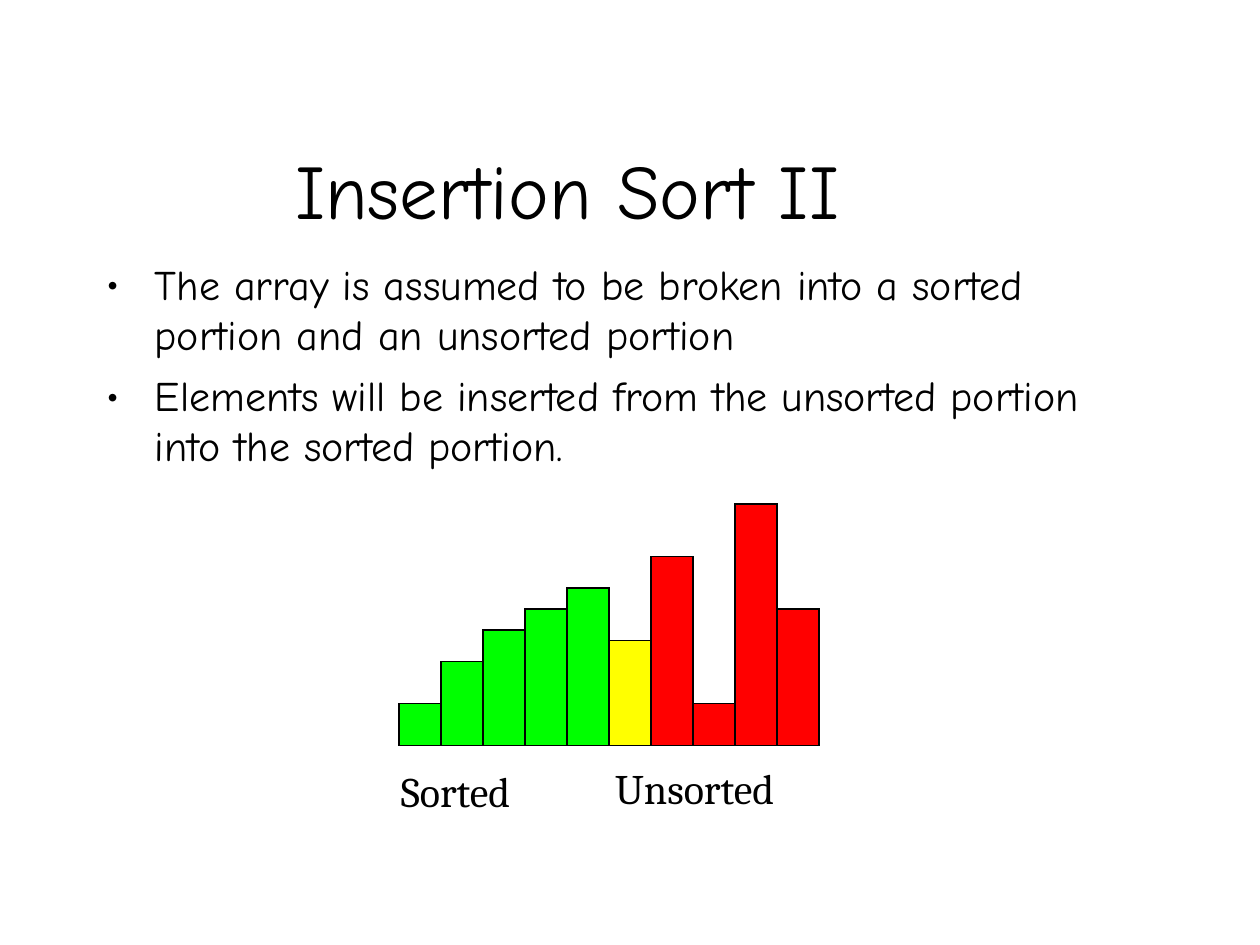
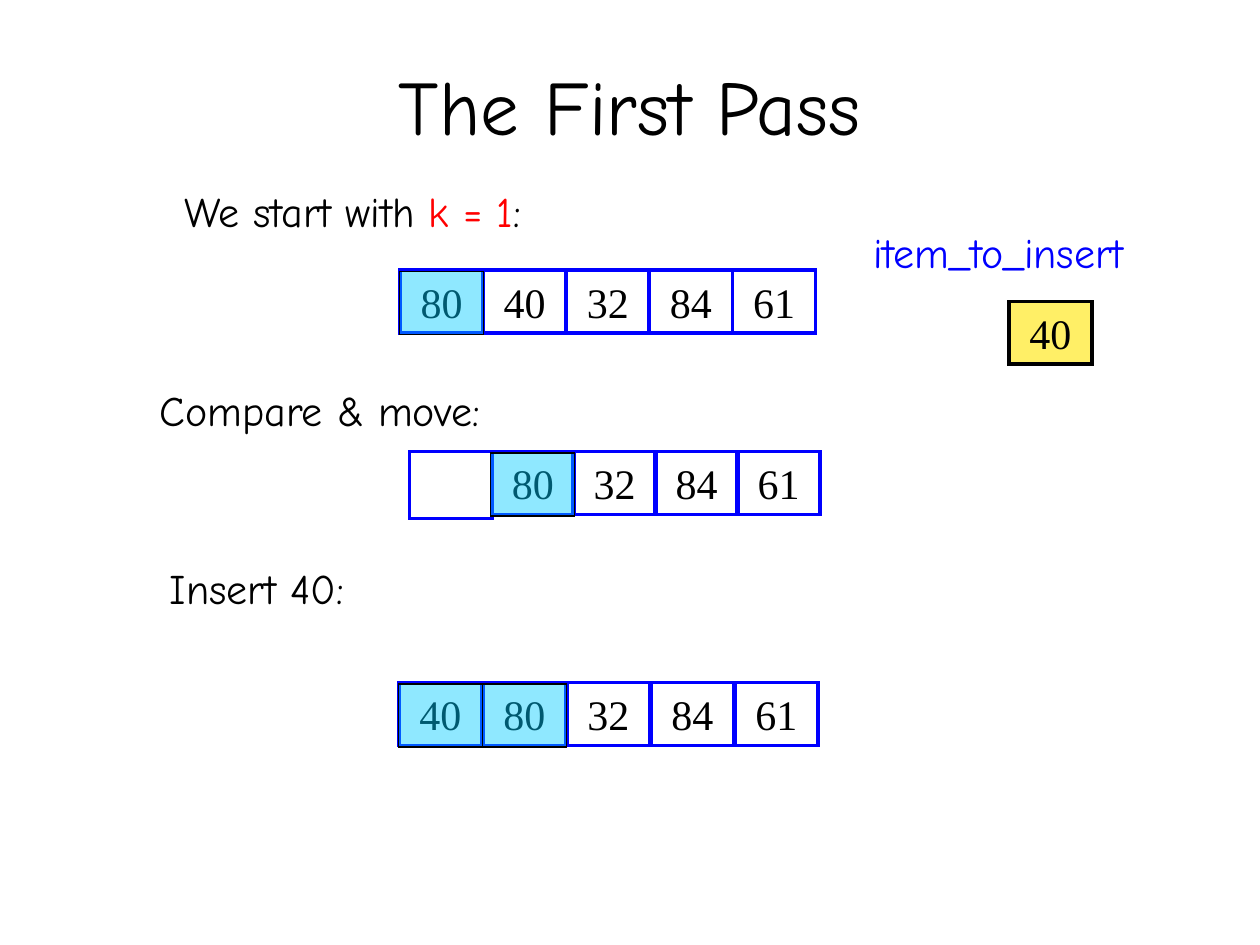
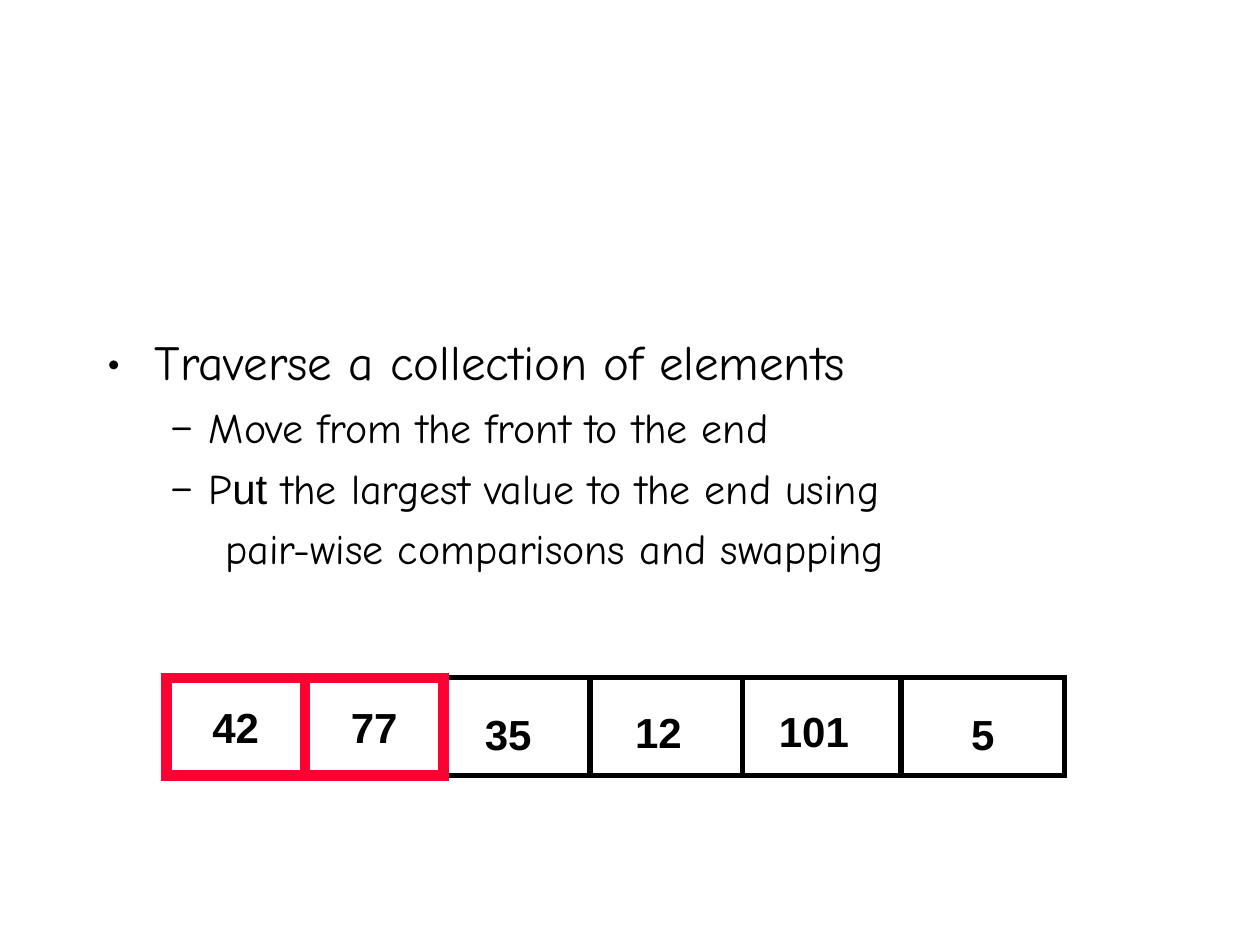
from dataclasses import dataclass
from typing import NamedTuple, Optional, Sequence

from lxml.etree import SubElement
from pptx import Presentation
from pptx.dml.color import RGBColor
from pptx.enum.shapes import MSO_CONNECTOR, MSO_SHAPE
from pptx.enum.text import MSO_ANCHOR as Anchor, MSO_AUTO_SIZE as AutoSize, PP_ALIGN as Align
from pptx.oxml.ns import qn
from pptx.shapes.autoshape import Shape
from pptx.slide import Slide
from pptx.text.text import TextFrame
from pptx.util import Inches, Length, Pt

# Every place and size is given in grid units: 120 columns by 90 rows.
COLUMNS, ROWS = 120, 90
SLIDE_WIDTH, SLIDE_HEIGHT = Inches(10), Inches(7.5)

BLACK = RGBColor(0x00, 0x00, 0x00)
WHITE = RGBColor(0xFF, 0xFF, 0xFF)
GREEN = RGBColor(0x00, 0xFF, 0x00)
RED = RGBColor(0xFF, 0x00, 0x00)
YELLOW = RGBColor(0xFF, 0xFF, 0x00)
BLUE = RGBColor(0x00, 0x00, 0xFF)
CYAN = RGBColor(0x00, 0xCC, 0xFF)
PALE_YELLOW = RGBColor(0xFF, 0xEF, 0x66)
CRIMSON = RGBColor(0xFF, 0x00, 0x33)

HAND = "Comic Neue"
SERIF = "Cambria"
ROMAN = "Times New Roman"
SANS = "Arial"


class Area(NamedTuple):
    left: float
    top: float
    width: float
    height: float


class Run(NamedTuple):
    text: str
    font: str = HAND
    color: RGBColor = BLACK
    size: float = 24
    bold: bool = False


@dataclass(frozen=True)
class Label:
    area: Area
    runs: Sequence[Run]
    wrap: bool = True


@dataclass(frozen=True)
class Item:
    """One paragraph of a list, with its indents in inches."""
    runs: Sequence[Run]
    bullet: Optional[str] = "•"
    margin: float = 0.38
    hanging: float = 0.38


@dataclass(frozen=True)
class ValueRow:
    """Array cells side by side; the sorted ones get a tint."""
    left: float
    top: float
    pitch: float
    values: Sequence[str]
    sorted_cells: Sequence[int]


def across(columns: float) -> Length:
    return Length(round(SLIDE_WIDTH * columns / COLUMNS))


def down(rows: float) -> Length:
    return Length(round(SLIDE_HEIGHT * rows / ROWS))


def place(area: Area) -> tuple[Length, Length, Length, Length]:
    return across(area.left), down(area.top), across(area.width), down(area.height)


def add_runs(paragraph, runs: Sequence[Run]) -> None:
    for part in runs:
        run = paragraph.add_run()
        run.text = part.text
        run.font.name = part.font
        run.font.size = Pt(part.size)
        run.font.bold = part.bold
        run.font.color.rgb = part.color


def add_text_box(slide: Slide, area: Area, wrap: bool = True) -> TextFrame:
    frame = slide.shapes.add_textbox(*place(area)).text_frame
    frame.word_wrap = wrap
    return frame


def add_title(slide: Slide, text: str, area: Area, anchor: Anchor) -> None:
    frame = add_text_box(slide, area)
    frame.vertical_anchor = anchor
    frame.paragraphs[0].alignment = Align.CENTER
    add_runs(frame.paragraphs[0], [Run(text, size=44)])


def add_label(slide: Slide, label: Label) -> None:
    frame = add_text_box(slide, label.area, label.wrap)
    frame.auto_size = AutoSize.SHAPE_TO_FIT_TEXT
    add_runs(frame.paragraphs[0], label.runs)


def add_list(slide: Slide, area: Area, items: Sequence[Item]) -> None:
    frame = add_text_box(slide, area)
    for index, item in enumerate(items):
        paragraph = frame.add_paragraph() if index else frame.paragraphs[0]
        properties = paragraph._p.get_or_add_pPr()
        properties.set("marL", str(Inches(item.margin)))
        properties.set("indent", str(-Inches(item.hanging)))
        if item.bullet:
            color = SubElement(properties, qn("a:buClr"))
            SubElement(color, qn("a:srgbClr"), val=str(BLACK))
            SubElement(properties, qn("a:buFont"), typeface=HAND)
            SubElement(properties, qn("a:buChar"), char=item.bullet)
        if index:
            paragraph.space_before = Pt(6)
        add_runs(paragraph, item.runs)


def add_box(slide: Slide, area: Area, line: RGBColor, weight: float,
            fill: Optional[RGBColor] = None, opacity: int = 100) -> Shape:
    """Add a rectangle with square corners in its outline."""
    box = slide.shapes.add_shape(MSO_SHAPE.RECTANGLE, *place(area))
    box.shadow.inherit = False
    box.line.color.rgb = line
    box.line.width = Pt(weight)
    SubElement(box._element.spPr.find(qn("a:ln")), qn("a:miter"), lim="800000")
    if fill is None:
        box.fill.background()
    else:
        box.fill.solid()
        box.fill.fore_color.rgb = fill
        if opacity < 100:
            color = box._element.spPr.find(qn("a:solidFill"))[0]
            SubElement(color, qn("a:alpha"), val=str(opacity * 1000))
    return box


def write_in_box(box: Shape, run: Run, anchor: Anchor) -> None:
    frame = box.text_frame
    frame.vertical_anchor = anchor
    frame.paragraphs[0].alignment = Align.CENTER
    add_runs(frame.paragraphs[0], [run])


def add_value_cell(slide: Slide, left: float, top: float, value: str,
                   line: RGBColor = BLUE, fill: Optional[RGBColor] = None) -> None:
    height = 6 if value else 6.4
    box = add_box(slide, Area(left, top, 7.9, height), line, 2, fill)
    if value:
        write_in_box(box, Run(value, ROMAN), Anchor.TOP)


def add_value_row(slide: Slide, row: ValueRow) -> None:
    for index, value in enumerate(row.values):
        add_value_cell(slide, row.left + index * row.pitch, row.top, value)
    for index in row.sorted_cells:
        tint = Area(row.left + index * row.pitch - 0.05, row.top + 0.15, 8, 6)
        add_box(slide, tint, BLACK, 0.75, CYAN, opacity=44)


def add_divider(slide: Slide, column: float, top: float, bottom: float) -> None:
    divider = slide.shapes.add_connector(
        MSO_CONNECTOR.STRAIGHT, across(column), down(top), across(column), down(bottom))
    divider.line.color.rgb = BLACK
    divider.line.width = Pt(3)
    SubElement(divider._element.spPr, qn("a:effectLst"))


def build_insertion_sort(slide: Slide) -> None:
    add_title(slide, "Insertion Sort II", Area(9, 2, 90.1, 21), Anchor.BOTTOM)
    add_list(slide, Area(9, 24, 101, 25.8), [
        Item([Run("The array is assumed to be broken into a sorted portion "
                  "and an unsorted portion")]),
        Item([Run("Elements will be inserted from the unsorted portion "
                  "into the sorted portion.")]),
    ])

    first_bar, bar_width, baseline = 38, 4, 71
    next_slot, next_height = 5, 10
    bars = [(slot, height, GREEN) for slot, height in enumerate((4, 8, 11, 13, 15))]
    bars += [(slot, height, RED)
             for slot, height in enumerate((18, 4, 23, 13), start=next_slot + 1)]
    bars.append((next_slot, next_height, YELLOW))
    for slot, height, color in bars:
        left = first_bar + slot * bar_width
        add_box(slide, Area(left, baseline - height, bar_width, height), BLACK, 1, color)

    add_label(slide, Label(Area(37, 72.3, 18.7, 6), [Run("Sorted", SERIF)]))
    add_label(slide, Label(Area(57.4, 72, 19.8, 6), [Run("Unsorted", SERIF)], wrap=False))


def build_first_pass(slide: Slide) -> None:
    add_title(slide, "The First Pass", Area(9, 2.5, 102, 15), Anchor.MIDDLE)
    start = [Run("We start with "), Run("k = 1", color=RED), Run(":")]
    labels = [
        Label(Area(16.4, 17.1, 34.8, 6), start, wrap=False),
        Label(Area(14, 36, 47, 6), [Run("Compare & move:")]),
        Label(Area(15, 53, 29, 6), [Run("Insert 40:")]),
        Label(Area(82, 21, 33, 6), [Run("item_to_insert", color=BLUE)]),
    ]
    rows = [
        ValueRow(38.1, 25.7, 7.92, ("80", "40", "32", "84", "61"), (0,)),
        ValueRow(39, 43, 7.8, ("", "80", "32", "84", "61"), (1,)),
        ValueRow(38, 65, 8, ("40", "80", "32", "84", "61"), (0, 1)),
    ]
    for label in labels:
        add_label(slide, label)
    for row in rows:
        add_value_row(slide, row)
    add_value_cell(slide, 96.1, 28.7, "40", BLACK, PALE_YELLOW)


def build_traversal(slide: Slide) -> None:
    dash = {"bullet": "–", "margin": 0.81, "hanging": 0.31}
    add_list(slide, Area(9, 31, 108, 52), [
        Item([Run("Traverse a collection of elements", size=28)]),
        Item([Run("Move from the front to the end")], **dash),
        Item([Run("P"), Run("ut", SANS), Run(" the largest value to the end using")], **dash),
        Item([Run("pair-wise comparisons and swapping")],
             bullet=None, margin=0.94, hanging=0),
    ])

    left, top, height = 15.85, 64.55, 9.3
    add_box(slide, Area(left, top, 85.55, height), BLACK, 3)
    for column in (29.2, 42.5, 56.2, 70.7, 85.8):
        add_divider(slide, column, top, top + height)

    for value, column, row, width in (("35", 45, 66.85, 7.4), ("12", 59.3, 66.7, 7.4),
                                      ("101", 73, 66.6, 9.6), ("5", 91.3, 66.85, 5.2)):
        number = Run(value, SANS, bold=True)
        add_label(slide, Label(Area(column, row, width, 6), [number], wrap=False))

    pair_width = 13.2
    for index, value in enumerate(("42", "77")):
        area = Area(left + index * pair_width, top, pair_width, height)
        box = add_box(slide, area, CRIMSON, 6, WHITE)
        box.text_frame.word_wrap = False
        write_in_box(box, Run(value, SANS, bold=True), Anchor.MIDDLE)


def main() -> None:
    presentation = Presentation()
    presentation.slide_width = SLIDE_WIDTH
    presentation.slide_height = SLIDE_HEIGHT
    blank = presentation.slide_layouts[6]
    for build in (build_insertion_sort, build_first_pass, build_traversal):
        build(presentation.slides.add_slide(blank))
    presentation.save("out.pptx")


if __name__ == "__main__":
    main()
